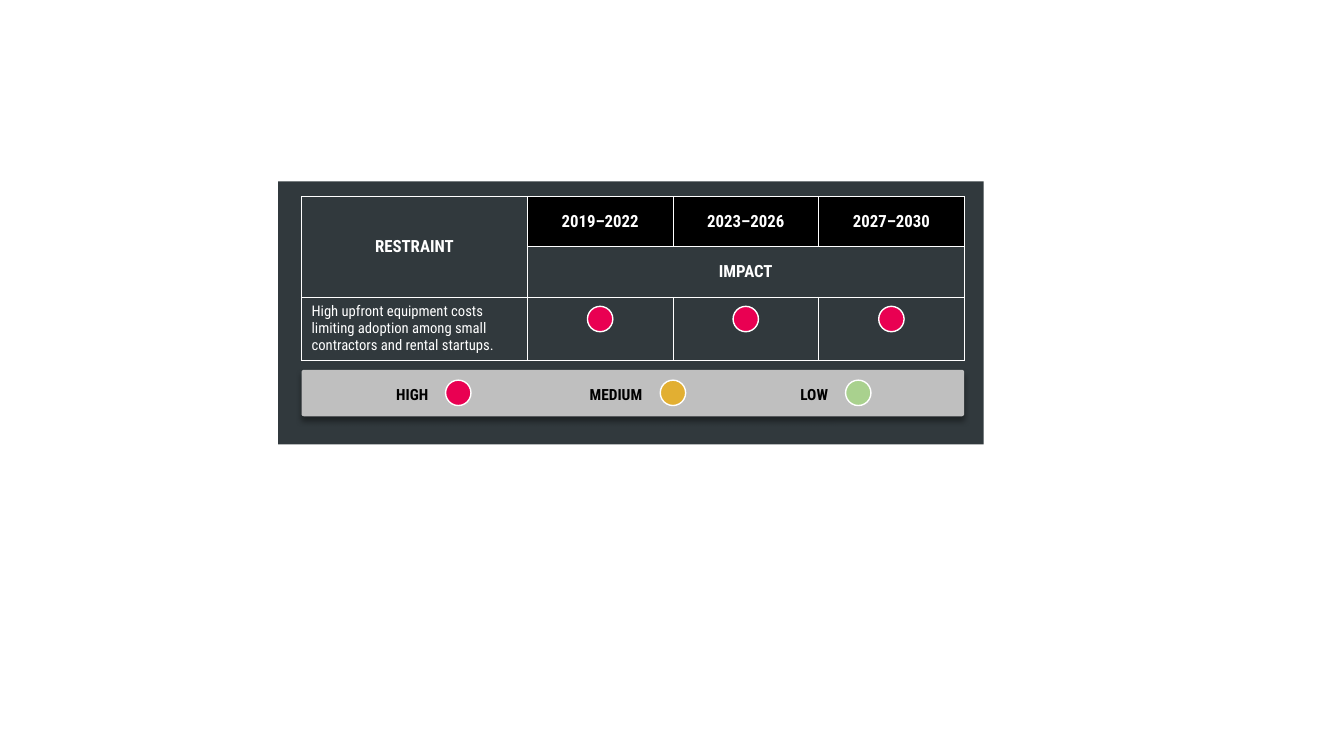
from lxml import etree
from pptx import Presentation
from pptx.dml.color import RGBColor
from pptx.enum import shapes, text
from pptx.oxml import parse_xml
from pptx.oxml.ns import nsdecls
from pptx.util import Cm, Pt

HEADERS = ["2019–2022", "2023–2026", "2027–2030"]
CAUSE = "RESTRAINT"
EFFECT = "IMPACT"
RESTRAINT = "High upfront equipment costs limiting adoption among small contractors and rental startups."
IMPACTS = ["high", "high", "high"]
LEGEND = [
    ("HIGH", "high", 9.73, 1.32, 11.23),
    ("MEDIUM", "medium", 14.6, 1.85, 16.64),
    ("LOW", "low", 19.43, 2.18, 21.31),
]
COLORS = {
    "panel": "31393D", "bar": "BFBFBF", "black": "000000", "white": "FFFFFF",
    "high": "E90052", "medium": "E2AF32", "low": "A9D18E",
}
FONT = "Roboto Condensed"
PANEL = (7.01, 4.57, 17.78, 6.63)
LEFT, TABLE_TOP, WIDTH = 7.6, 4.95, 16.7
FIRST_COL, PERIOD_COL = 5.69, 3.67
ROWS = [1.27, 1.27, 1.58]
DOT = 0.64
DOT_TOP, LEGEND_TOP = 7.72, 9.58


def rgb(name):
    """Return the named colour."""
    return RGBColor.from_string(COLORS[name])


def add_shape(parent, kind, box, fill, line=None):
    """Add a filled preset shape with an optional outline."""
    sp = parent.add_shape(kind, *map(Cm, box))
    sp.shadow.inherit = False
    sp.fill.solid()
    sp.fill.fore_color.rgb = rgb(fill)
    if line:
        sp.line.color.rgb = rgb(line)
        sp.line.width = Pt(1)
    else:
        sp.line.fill.background()
    return sp


def add_dot(parent, left, top, level):
    """Add a rating dot."""
    return add_shape(parent, shapes.MSO_SHAPE.OVAL, (left, top, DOT, DOT), level, "white")


def write(tf, words, color, size, bold=True, align=text.PP_ALIGN.CENTER):
    """Write one formatted run."""
    p = tf.paragraphs[0]
    p.alignment = align
    r = p.add_run()
    r.text = words
    for name, value in {"name": FONT, "size": Pt(size), "bold": bold}.items():
        setattr(r.font, name, value)
    r.font.color.rgb = rgb(color)


def add_bar(parent):
    """Add the legend bar with its soft shadow."""
    sp = add_shape(parent, shapes.MSO_SHAPE.ROUNDED_RECTANGLE, (LEFT, 9.32, WIDTH, 1.17), "bar")
    sp.adjustments[0] = 0.05
    effects = sp.shadow._element.find("{*}effectLst")
    effects.append(parse_xml(
        f'<a:outerShdw {nsdecls("a")} blurRad="{Pt(4)}" dist="{Pt(3)}" dir="5400000" '
        f'algn="t" rotWithShape="0"><a:srgbClr val="{COLORS["black"]}">'
        '<a:alpha val="40000"/></a:srgbClr></a:outerShdw>'))


def add_legend(parent):
    """Add the legend labels and dots."""
    for label, level, left, width, dot_left in LEGEND:
        sp = parent.add_textbox(*map(Cm, (left, LEGEND_TOP, width, 0.73)))
        tf = sp.text_frame
        tf.word_wrap = False
        tf.auto_size = text.MSO_AUTO_SIZE.SHAPE_TO_FIT_TEXT
        write(tf, label, "black", 11)
        add_dot(parent, dot_left, LEGEND_TOP, level)


def format_cell(cell, fill=None):
    """Outline a cell and set its fill."""
    props = cell._tc.get_or_add_tcPr()
    for side in "LRTB":
        ln = etree.SubElement(props, f"{{{props.nsmap['a']}}}ln{side}", w=str(Pt(0.75)))
        ln.append(parse_xml(
            f'<a:solidFill {nsdecls("a")}><a:srgbClr val="{COLORS["white"]}"/></a:solidFill>'))
    if fill:
        cell.fill.solid()
        cell.fill.fore_color.rgb = rgb(fill)
    else:
        cell.fill.background()
    cell.vertical_anchor = text.MSO_ANCHOR.MIDDLE


def add_impact_table(parent):
    """Add the restraint table."""
    widths = [FIRST_COL] + [PERIOD_COL] * len(HEADERS)
    box = map(Cm, (LEFT, TABLE_TOP, WIDTH, sum(ROWS)))
    table = parent.add_table(len(ROWS), len(widths), *box).table
    table.first_row = table.horz_banding = False
    for column, width in zip(table.columns, widths):
        column.width = Cm(width)
    for row, height in zip(table.rows, ROWS):
        row.height = Cm(height)
    for r in range(len(ROWS)):
        for c in range(len(widths)):
            format_cell(table.cell(r, c), "black" if r == 0 and c else None)
    table.cell(0, 0).merge(table.cell(1, 0))
    table.cell(1, 1).merge(table.cell(1, len(HEADERS)))
    write(table.cell(0, 0).text_frame, CAUSE, "white", 12)
    write(table.cell(1, 1).text_frame, EFFECT, "white", 12)
    for c, period in enumerate(HEADERS, 1):
        write(table.cell(0, c).text_frame, period, "white", 12)
    write(table.cell(2, 0).text_frame, RESTRAINT, "white", 10.5, False, text.PP_ALIGN.LEFT)


def main():
    """Build the restraint impact slide."""
    prs = Presentation()
    prs.slide_width, prs.slide_height = Cm(33.87), Cm(19.05)
    s = prs.slides.add_slide(prs.slide_layouts[6])
    group = s.shapes.add_group_shape().shapes
    add_shape(group, shapes.MSO_SHAPE.RECTANGLE, PANEL, "panel")
    add_bar(group)
    add_legend(group)
    for i, level in enumerate(IMPACTS):
        center = LEFT + FIRST_COL + (i + 0.5) * PERIOD_COL
        add_dot(group, center - DOT / 2, DOT_TOP, level)
    add_impact_table(s.shapes)
    prs.save("out.pptx")


if __name__ == "__main__":
    main()
